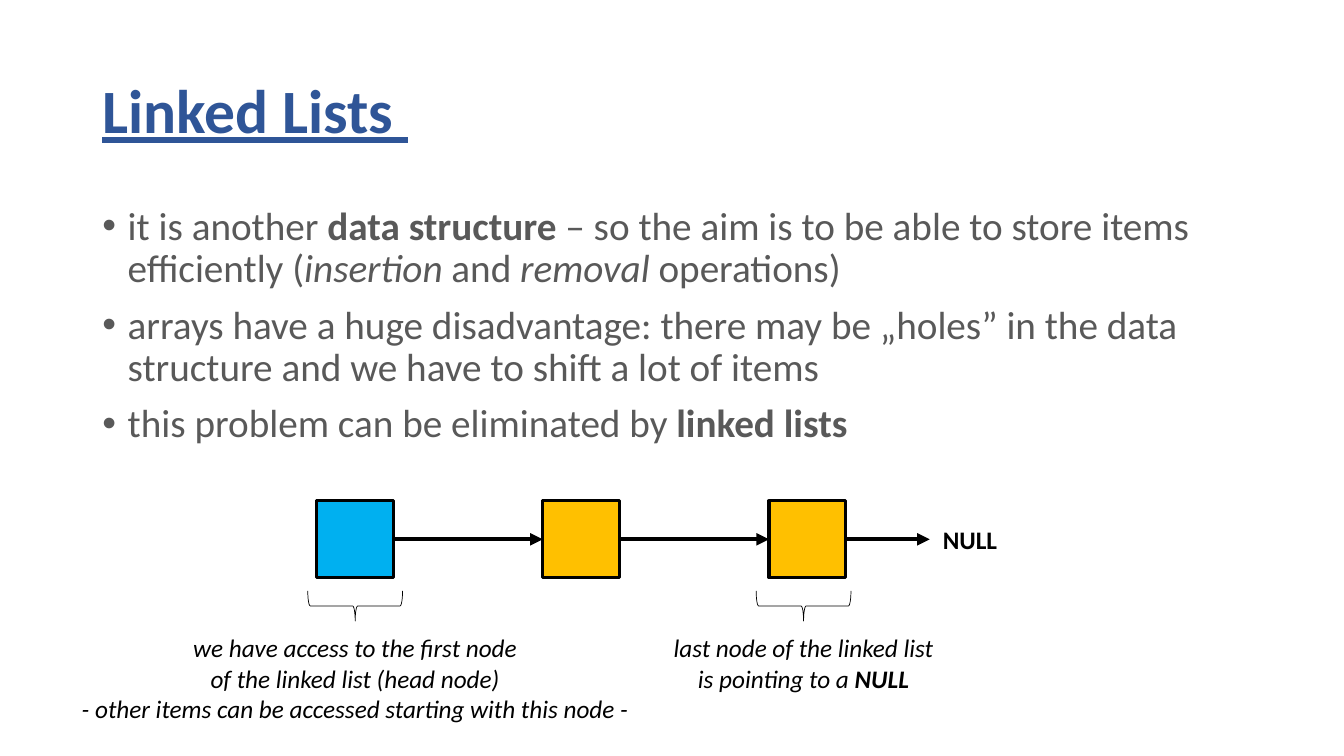
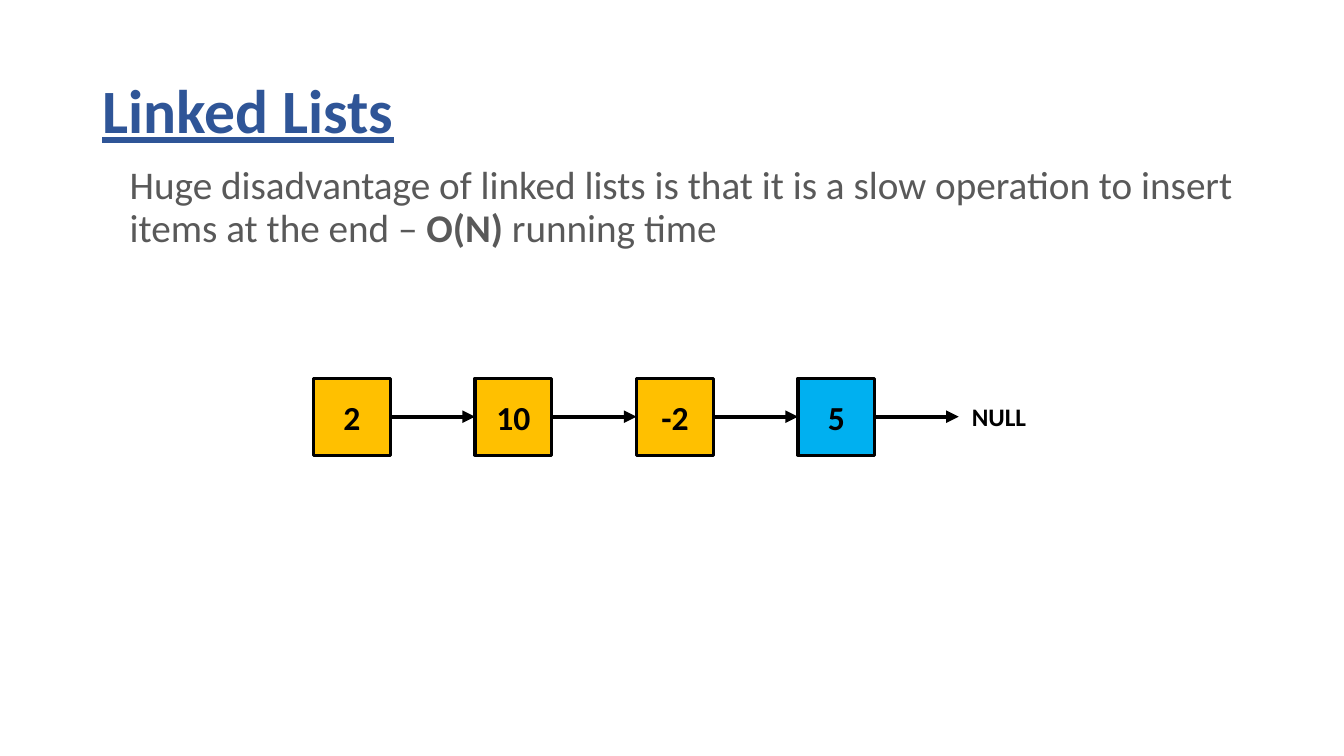
"""Build two slides that introduce linked lists and their slow insertion at the end."""
from lxml import etree
from pptx import Presentation
from pptx.dml.color import RGBColor
from pptx.enum.shapes import MSO_CONNECTOR, MSO_SHAPE
from pptx.enum.text import MSO_ANCHOR, MSO_AUTO_SIZE, PP_ALIGN
from pptx.oxml.ns import qn
from pptx.util import Cm, Pt

STRAIGHT = MSO_CONNECTOR.STRAIGHT
RECTANGLE, BRACE = MSO_SHAPE.RECTANGLE, MSO_SHAPE.RIGHT_BRACE
TOP, MIDDLE = MSO_ANCHOR.TOP, MSO_ANCHOR.MIDDLE
FIT_SHAPE = MSO_AUTO_SIZE.SHAPE_TO_FIT_TEXT
LEFT, CENTER = PP_ALIGN.LEFT, PP_ALIGN.CENTER
LEFT_SIDE, RIGHT_SIDE = 1, 3

FONT = "Calibri"
COLORS = {"title": "2F5597", "body": "595959", "ink": "000000",
          "accent": "00B0F0", "node": "FFC000"}
NODE = 1.94
NULL_ARROW = 2.11
NULL_SIZE = (1.88, 1.02)
BRACE_SIZE = (0.76, 2.39)

SLIDES = [
    {
        "title": "Linked Lists ",
        "body_box": (2.33, 5.08, 29.21, 6.58),
        "bullets": True,
        "body": [
            [("it is another ", ""), ("data structure", "b"),
             (" – so the aim is to be able to store items efficiently (", ""),
             ("insertion", "i"), (" and ", ""), ("removal", "i"),
             (" operations)", "")],
            [("arrays have a huge disadvantage: there may be „holes” in the data "
              "structure and we have to shift a lot of items", "")],
            [("this problem can be eliminated by ", ""), ("linked lists", "b")],
        ],
        "chain": {"left": 7.98, "top": 12.62, "step": 5.7,
                  "nodes": [("", "accent"), ("", "node"), ("", "node")]},
        "captions": [
            {"center": 8.95, "size": (14.53, 2.57), "lines": [
                [("we have access to the first node", "i")],
                [("of the linked list (head node)", "i")],
                [("- other items can be accessed starting with this node -", "i")]]},
            {"center": 20.25, "size": (7.26, 1.8), "lines": [
                [("last node of the linked list", "i")],
                [("is pointing to a", "i"), (" NULL", "bi")]]},
        ],
    },
    {
        "title": "Linked Lists",
        "body_box": (3.02, 4.06, 29.21, 3),
        "bullets": False,
        "body": [
            [("Huge disadvantage of linked lists is that it is a slow operation to "
              "insert items at the end – ", ""), ("O(N)", "b"),
             (" running time", "")],
        ],
        "chain": {"left": 7.9, "top": 9.53, "step": 4.07,
                  "nodes": [("2", "node"), ("10", "node"), ("-2", "node"),
                            ("5", "accent")]},
        "captions": [],
    },
]


def color(name):
    return RGBColor.from_string(COLORS[name])


def add_bullet(para):
    properties = para._p.get_or_add_pPr()
    properties.set("marL", str(Cm(0.64)))
    properties.set("indent", str(-Cm(0.64)))
    etree.SubElement(properties, qn("a:buFont"), typeface="Arial")
    etree.SubElement(properties, qn("a:buChar"), char="•")


def write(frame, paragraphs, size, ink, align=LEFT, spacing=None, gap=0, bullets=False):
    for index, runs in enumerate(paragraphs):
        para = frame.add_paragraph() if index else frame.paragraphs[0]
        if bullets:
            add_bullet(para)
        para.alignment = align
        if spacing:
            para.line_spacing = spacing
        if index and gap:
            para.space_before = Pt(gap)
        for text, marks in runs:
            span = para.add_run()
            span.text = text
            font = span.font
            font.name, font.size, font.color.rgb = FONT, Pt(size), color(ink)
            font.bold, font.italic = "b" in marks, "i" in marks
            font.underline = "u" in marks


def add_text(page, area, paragraphs, size, ink, anchor=TOP, wrap=True, **style):
    box = page.shapes.add_textbox(*map(Cm, area))
    frame = box.text_frame
    frame.word_wrap, frame.vertical_anchor = wrap, anchor
    if not wrap:
        frame.auto_size = FIT_SHAPE
    write(frame, paragraphs, size, ink, **style)


def add_node(page, left, top, value, fill):
    node = page.shapes.add_shape(RECTANGLE, Cm(left), Cm(top), Cm(NODE), Cm(NODE))
    node.shadow.inherit = False
    node.fill.solid()
    node.fill.fore_color.rgb = color(fill)
    node.line.color.rgb, node.line.width = color("ink"), Pt(2.25)
    if value:
        node.text_frame.vertical_anchor = MIDDLE
        write(node.text_frame, [[(value, "b")]], 24, "ink", align=CENTER)
    return node


def add_arrow(page, start, end_x, y, target=None):
    arrow = page.shapes.add_connector(STRAIGHT, 0, Cm(y), Cm(end_x), Cm(y))
    arrow.begin_connect(start, RIGHT_SIDE)
    if target is not None:
        arrow.end_connect(target, LEFT_SIDE)
    arrow.line.color.rgb, arrow.line.width = color("ink"), Pt(3)
    etree.SubElement(arrow.line._get_or_add_ln(), qn("a:tailEnd"), type="triangle")
    etree.SubElement(arrow._element.spPr, qn("a:effectLst"))


def add_chain(page, left, top, step, nodes):
    boxes = [add_node(page, left + index * step, top, value, fill)
             for index, (value, fill) in enumerate(nodes)]
    middle = top + NODE / 2
    for index, (start, target) in enumerate(zip(boxes, boxes[1:]), 1):
        add_arrow(page, start, left + index * step, middle, target)
    tip = left + (len(nodes) - 1) * step + NODE + NULL_ARROW
    add_arrow(page, boxes[-1], tip, middle)
    width, height = NULL_SIZE
    add_text(page, (tip + 0.08, middle - height / 2, width, height),
             [[("NULL", "b")]], 18, "ink", wrap=False)


def add_caption(page, chain_top, center, size, lines):
    width, height = BRACE_SIZE
    brace_middle = chain_top + NODE + 0.71
    brace = page.shapes.add_shape(BRACE, Cm(center - width / 2),
                                  Cm(brace_middle - height / 2), Cm(width), Cm(height))
    brace.rotation = 90
    brace.shadow.inherit = False
    brace.fill.background()
    brace.line.color.rgb, brace.line.width = color("ink"), Pt(0.5)
    add_text(page, (center - size[0] / 2, brace_middle + 0.55, *size),
             lines, 18, "ink", wrap=False, align=CENTER)


def main():
    deck = Presentation()
    deck.slide_width, deck.slide_height = Cm(33.87), Cm(19.05)
    for content in SLIDES:
        page = deck.slides.add_slide(deck.slide_layouts[6])
        add_text(page, (2.33, 1.02, 29.21, 3.68), [[(content["title"], "bu")]],
                 44, "title", anchor=MIDDLE, spacing=0.9)
        add_text(page, content["body_box"], content["body"], 28, "body",
                 spacing=0.9, gap=10, bullets=content["bullets"])
        add_chain(page, **content["chain"])
        for caption in content["captions"]:
            add_caption(page, content["chain"]["top"], **caption)
    deck.save("out.pptx")


if __name__ == "__main__":
    main()
